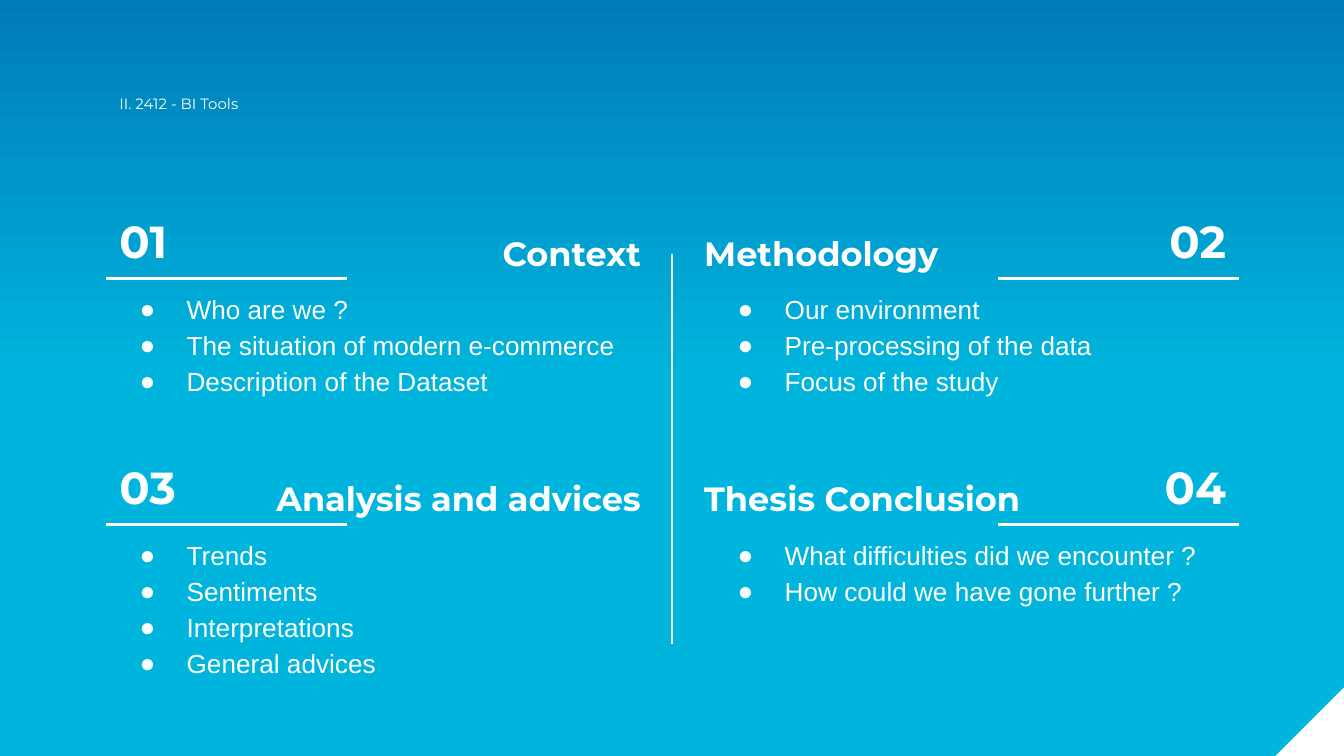
from collections import namedtuple
from copy import deepcopy

from lxml import etree
from pptx import Presentation
from pptx.dml.color import RGBColor
from pptx.enum.shapes import MSO_CONNECTOR, MSO_SHAPE
from pptx.enum.text import MSO_ANCHOR, PP_ALIGN
from pptx.oxml.ns import qn
from pptx.util import Inches, Pt

LEFT, RIGHT = PP_ALIGN.LEFT, PP_ALIGN.RIGHT
TOP, MIDDLE, BOTTOM = MSO_ANCHOR.TOP, MSO_ANCHOR.MIDDLE, MSO_ANCHOR.BOTTOM
STRAIGHT = MSO_CONNECTOR.STRAIGHT
RIGHT_TRIANGLE = MSO_SHAPE.RIGHT_TRIANGLE

WIDTH = 10
HEIGHT = WIDTH * 9 / 16
WHITE, CYAN, BLUE = "FFFFFF", "00B5DD", "007BB9"
INSET = 0.1

Box = namedtuple("Box", "left top width height")

HEADER = {"name": "Montserrat", "size": Pt(8)}
NUMBER = {"name": "Montserrat", "size": Pt(24), "bold": True}
HEADING = {"name": "Montserrat", "size": Pt(18), "bold": True}
BODY = {"name": "Arial", "size": Pt(14)}

PANEL_LEFT, PANEL_TOP = 0.79, 1.49
PANEL_WIDTH, PANEL_HEIGHT = 3.98, 2
COLUMN_STEP, ROW_STEP = 4.45, 1.83
BODY_SHARES = (0.71, 0.46)

CHAPTERS = [
    ("Context", ["Who are we ?", "The situation of modern e-commerce",
                 "Description of the Dataset"]),
    ("Methodology", ["Our environment", "Pre-processing of the data",
                     "Focus of the study"]),
    ("Analysis and advices", ["Trends", "Sentiments", "Interpretations",
                              "General advices"]),
    ("Thesis Conclusion", ["What difficulties did we encounter ?",
                           "How could we have gone further ?"]),
]


def color(value):
    """Turn a hex string into a colour."""
    return RGBColor.from_string(value)


def part(box, left, top, width, height):
    """Return the part of a box given by shares of its size."""
    return Box(box.left + left * box.width, box.top + top * box.height,
               width * box.width, height * box.height)


def add_bullet(paragraph):
    """Give a paragraph a hanging white bullet."""
    properties = paragraph._p.get_or_add_pPr()
    properties.set("marL", str(Inches(0.5)))
    properties.set("indent", str(Inches(-0.35)))
    bullet_color = etree.SubElement(properties, qn("a:buClr"))
    etree.SubElement(bullet_color, qn("a:srgbClr"), val=WHITE)
    etree.SubElement(properties, qn("a:buFont"), typeface="Arial")
    etree.SubElement(properties, qn("a:buChar"), char="●")


def add_text(slide, box, lines, font, align=LEFT, anchor=TOP, inset=INSET,
             bullets=False, **spacing):
    """Add a text box with one paragraph for each line."""
    shape = slide.shapes.add_textbox(*map(Inches, box))
    frame = shape.text_frame
    frame.word_wrap = True
    frame.vertical_anchor = anchor
    for side in ("left", "top", "right", "bottom"):
        setattr(frame, f"margin_{side}", Inches(inset))
    for index, line in enumerate(lines):
        paragraph = frame.add_paragraph() if index else frame.paragraphs[0]
        paragraph.text = line
        if bullets:
            add_bullet(paragraph)
        for name, value in {"alignment": align, **spacing}.items():
            setattr(paragraph, name, value)
        for name, value in font.items():
            setattr(paragraph.runs[0].font, name, value)
        paragraph.runs[0].font.color.rgb = color(WHITE)


def add_rule(slide, start, end):
    """Add a straight white line between two points."""
    rule = slide.shapes.add_connector(STRAIGHT, *map(Inches, start + end))
    rule.line.color.rgb = color(WHITE)
    rule.line.width = Pt(1.5)
    etree.SubElement(rule.element.spPr, qn("a:effectLst"))


def add_background(slide):
    """Fill the background with a gradient and add the corner triangle."""
    fill = slide.background.fill
    fill.gradient()
    fill.gradient_angle = 90
    stops = slide.element.xpath(".//a:gsLst")[0]
    stops.insert(1, deepcopy(stops[0]))
    for stop, position, value in zip(fill.gradient_stops, (0, 0.5, 1),
                                     (CYAN, CYAN, BLUE)):
        stop.position = position
        stop.color.rgb = color(value)
    side = 0.51
    box = Box(WIDTH - side, HEIGHT - side, side, side)
    corner = slide.shapes.add_shape(RIGHT_TRIANGLE, *map(Inches, box))
    corner.element.spPr.get_or_add_xfrm().set("flipH", "1")
    corner.shadow.inherit = False
    corner.fill.solid()
    corner.fill.fore_color.rgb = color(WHITE)
    corner.line.fill.background()


def add_chapter(slide, box, number, heading, points, body_share, mirrored):
    """Add a numbered chapter, with its number on the outer side."""
    outer, inner = (RIGHT, LEFT) if mirrored else (LEFT, RIGHT)

    def outer_left(share):
        return 1 - share if mirrored else 0

    heading_left = 0 if mirrored else 0.23
    add_text(slide, part(box, heading_left, 0.08, 0.77, 0.23), [heading],
             HEADING, inner, MIDDLE, inset=0)
    add_text(slide, part(box, 0, 0.28, 1, body_share), points, BODY,
             bullets=True, line_spacing=1.15)
    rule = part(box, outer_left(0.45), 0.29, 0.45, 0)
    add_rule(slide, (rule.left, rule.top), (rule.left + rule.width, rule.top))
    add_text(slide, part(box, outer_left(0.28), 0, 0.28, 0.3),
             [f"{number:02}"], NUMBER, outer, BOTTOM)


def main():
    """Build the contents slide and save it."""
    presentation = Presentation()
    presentation.slide_width = Inches(WIDTH)
    presentation.slide_height = Inches(HEIGHT)
    slide = presentation.slides.add_slide(presentation.slide_layouts[6])
    add_background(slide)
    add_text(slide, Box(0.79, 0.61, 2.27, 0.35), ["II. 2412 - BI Tools"],
             HEADER, line_spacing=1.15, space_after=Pt(16))
    for index, (heading, points) in enumerate(CHAPTERS):
        row, column = divmod(index, 2)
        box = Box(PANEL_LEFT + column * COLUMN_STEP,
                  PANEL_TOP + row * ROW_STEP, PANEL_WIDTH, PANEL_HEIGHT)
        add_chapter(slide, box, index + 1, heading, points, BODY_SHARES[row],
                    mirrored=column == 1)
    add_rule(slide, (WIDTH / 2, 1.89), (WIDTH / 2, 4.79))
    presentation.save("out.pptx")


if __name__ == "__main__":
    main()
